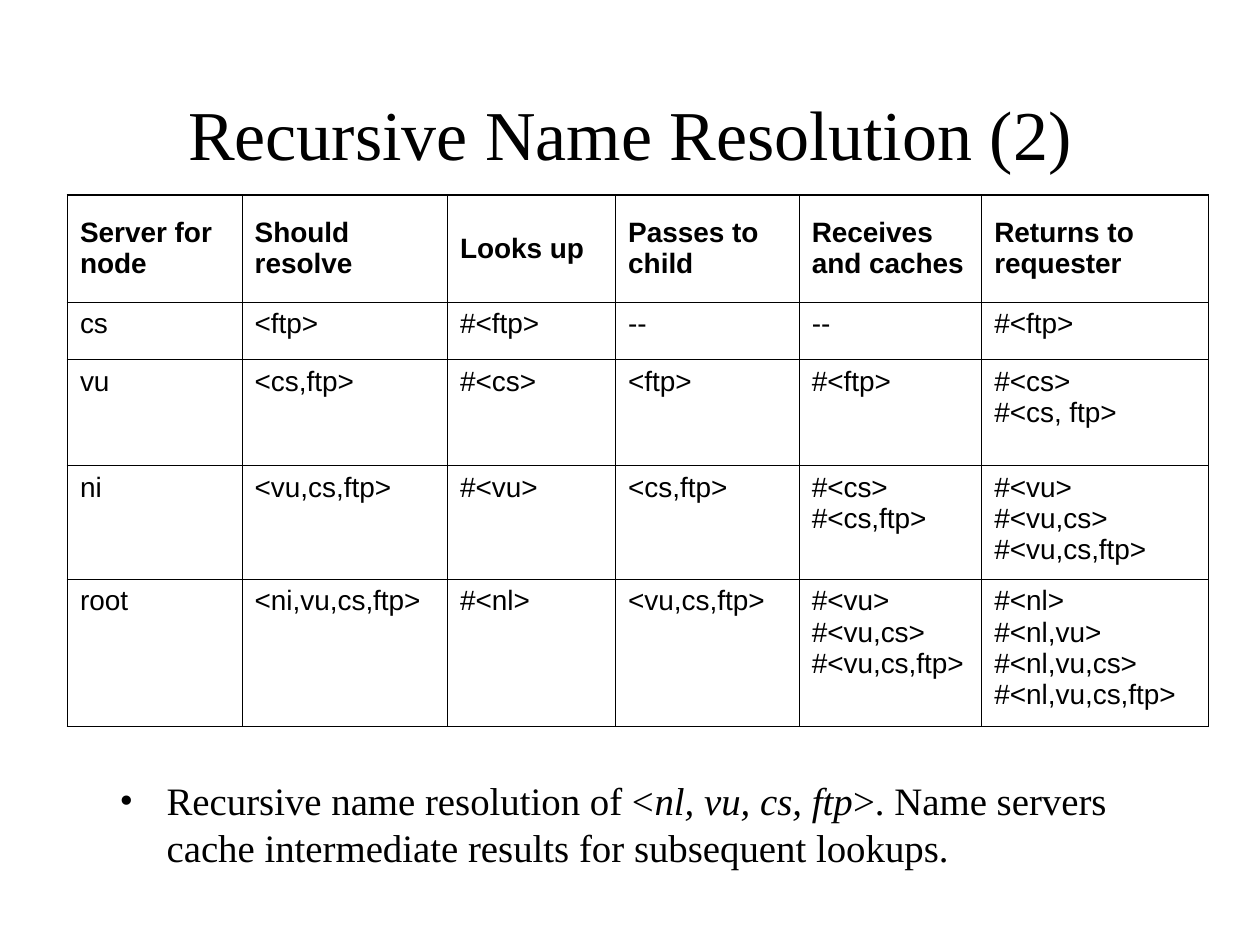
from lxml.etree import SubElement
from pptx import Presentation
from pptx.dml.color import RGBColor
from pptx.enum.text import MSO_ANCHOR, PP_ALIGN
from pptx.oxml.ns import qn
from pptx.util import Cm, Pt

INK = "000000"
THIN, THICK = 0.45, 1.08
COLUMNS = [3.52, 4.14, 3.39, 3.7, 3.68, 4.57]
HEIGHTS = [2.16, 1.16, 2.14, 2.29, 2.96]
ROWS = [
    ["Server for node", "Should resolve", "Looks up", "Passes to child",
     "Receives and caches", "Returns to requester"],
    ["cs", "<ftp>", "#<ftp>", "--", "--", "#<ftp>"],
    ["vu", "<cs,ftp>", "#<cs>", "<ftp>", "#<ftp>", "#<cs>\n#<cs, ftp>"],
    ["ni", "<vu,cs,ftp>", "#<vu>", "<cs,ftp>", "#<cs>\n#<cs,ftp>",
     "#<vu>\n#<vu,cs>\n#<vu,cs,ftp>"],
    ["root", "<ni,vu,cs,ftp>", "#<nl>", "<vu,cs,ftp>",
     "#<vu>\n#<vu,cs>\n#<vu,cs,ftp>",
     "#<nl>\n#<nl,vu>\n#<nl,vu,cs>\n#<nl,vu,cs,ftp>"],
]
NOTE = [
    ("Recursive name resolution of <", False),
    ("nl, vu, cs, ftp", True),
    (">. Name servers cache intermediate results for subsequent lookups.", False),
]


def color(value):
    """Turn a hex string into a colour."""
    return RGBColor.from_string(value)


def format_run(r, name, size, bold=False, italic=False):
    """Set the font of one run."""
    font = r.font
    font.name, font.size, font.bold, font.italic = name, Pt(size), bold, italic
    font.color.rgb = color(INK)


def add_text_box(s, left, top, width, height):
    """Add an empty wrapping text box and return its text frame."""
    sp = s.shapes.add_textbox(Cm(left), Cm(top), Cm(width), Cm(height))
    sp.text_frame.word_wrap = True
    return sp.text_frame


def add_title(s, left, top, width, height):
    """Add the centred slide title."""
    tf = add_text_box(s, left, top, width, height)
    tf.vertical_anchor = MSO_ANCHOR.MIDDLE
    tf.text = "Recursive Name Resolution (2)"
    p = tf.paragraphs[0]
    p.alignment = PP_ALIGN.CENTER
    format_run(p.runs[0], "Times New Roman", 40)


def set_borders(cell, widths):
    """Draw the left, right, top and bottom borders of a cell."""
    tcPr = cell._tc.get_or_add_tcPr()
    for side, width in zip(("lnL", "lnR", "lnT", "lnB"), widths):
        ln = SubElement(tcPr, qn(f"a:{side}"), w=str(Pt(width)))
        fill = SubElement(ln, qn("a:solidFill"))
        SubElement(fill, qn("a:srgbClr"), val=INK)


def fill_cell(cell, text, header):
    """Write the text of one cell."""
    cell.fill.background()
    cell.vertical_anchor = MSO_ANCHOR.MIDDLE if header else MSO_ANCHOR.TOP
    p = cell.text_frame.paragraphs[0]
    p.text = text
    for r in p.runs:
        format_run(r, "Arial", 16, bold=header)
    for br in p._p.findall(qn("a:br")):
        SubElement(br, qn("a:rPr"), sz="1600")


def add_resolution_table(s, left, top):
    """Add the table of name servers with a thicker outer border."""
    frame = s.shapes.add_table(len(ROWS), len(COLUMNS), Cm(left), Cm(top),
                               Cm(sum(COLUMNS)), Cm(sum(HEIGHTS)))
    table = frame.table
    for column, width in zip(table.columns, COLUMNS):
        column.width = Cm(width)
    for row, height in zip(table.rows, HEIGHTS):
        row.height = Cm(height)
    last_row, last_col = len(ROWS) - 1, len(COLUMNS) - 1
    for i, texts in enumerate(ROWS):
        for j, text in enumerate(texts):
            cell = table.cell(i, j)
            outer = (j == 0, j == last_col, i == 0, i == last_row)
            set_borders(cell, [THICK if edge else THIN for edge in outer])
            fill_cell(cell, text, header=i == 0)


def add_note(s, left, top, width, height):
    """Add the bulleted remark below the table."""
    p = add_text_box(s, left, top, width, height).paragraphs[0]
    pPr = p._p.get_or_add_pPr()
    pPr.set("marL", str(Cm(0.95)))
    pPr.set("indent", str(-Cm(0.95)))
    SubElement(pPr, qn("a:buFont"), typeface="Times New Roman")
    SubElement(pPr, qn("a:buChar"), char="•")
    for text, italic in NOTE:
        r = p.add_run()
        r.text = text
        format_run(r, "Times New Roman", 22.2, italic=italic)


def main():
    """Build and save the slide."""
    prs = Presentation()
    prs.slide_width, prs.slide_height = Cm(25.4), Cm(19.05)
    s = prs.slides.add_slide(prs.slide_layouts[6])
    add_title(s, 1.9, 1.09, 21.6, 3.18)
    add_note(s, 2.16, 15.54, 21.03, 2.34)
    add_resolution_table(s, 1.36, 3.93)
    prs.save("out.pptx")


if __name__ == "__main__":
    main()
